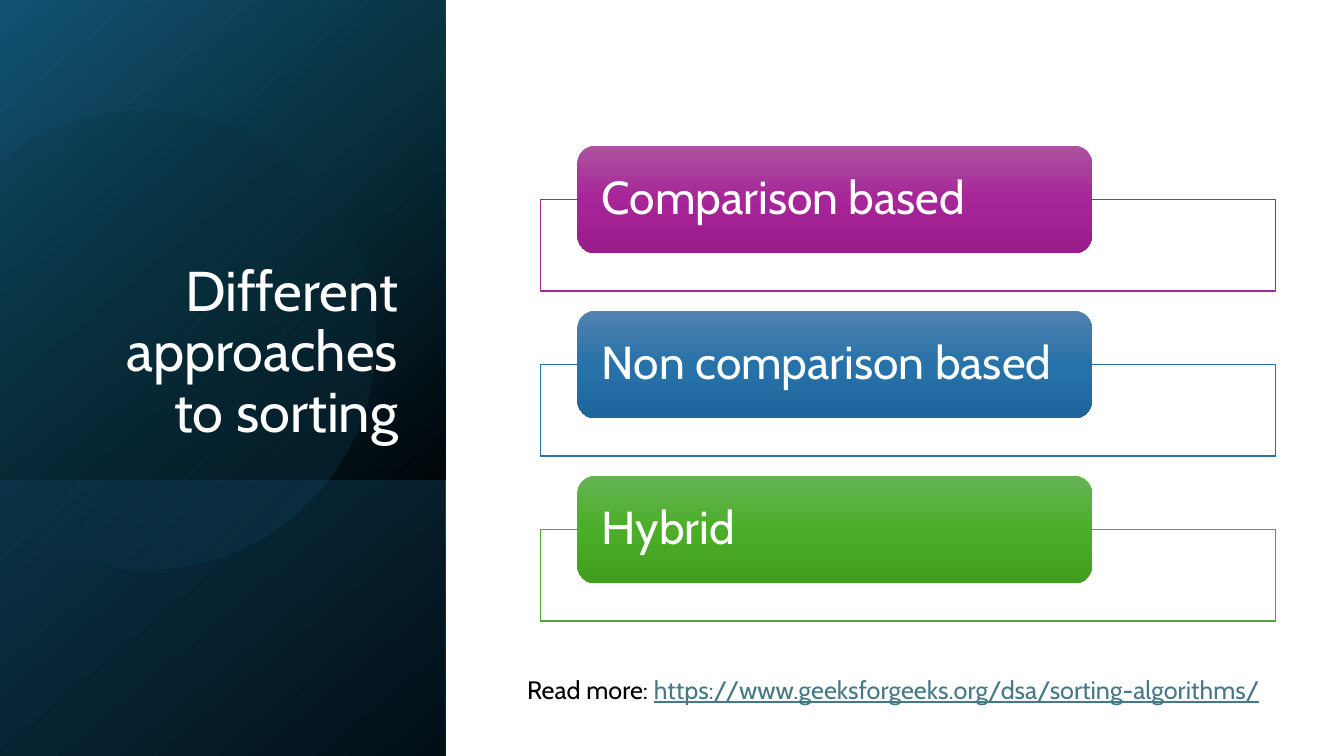
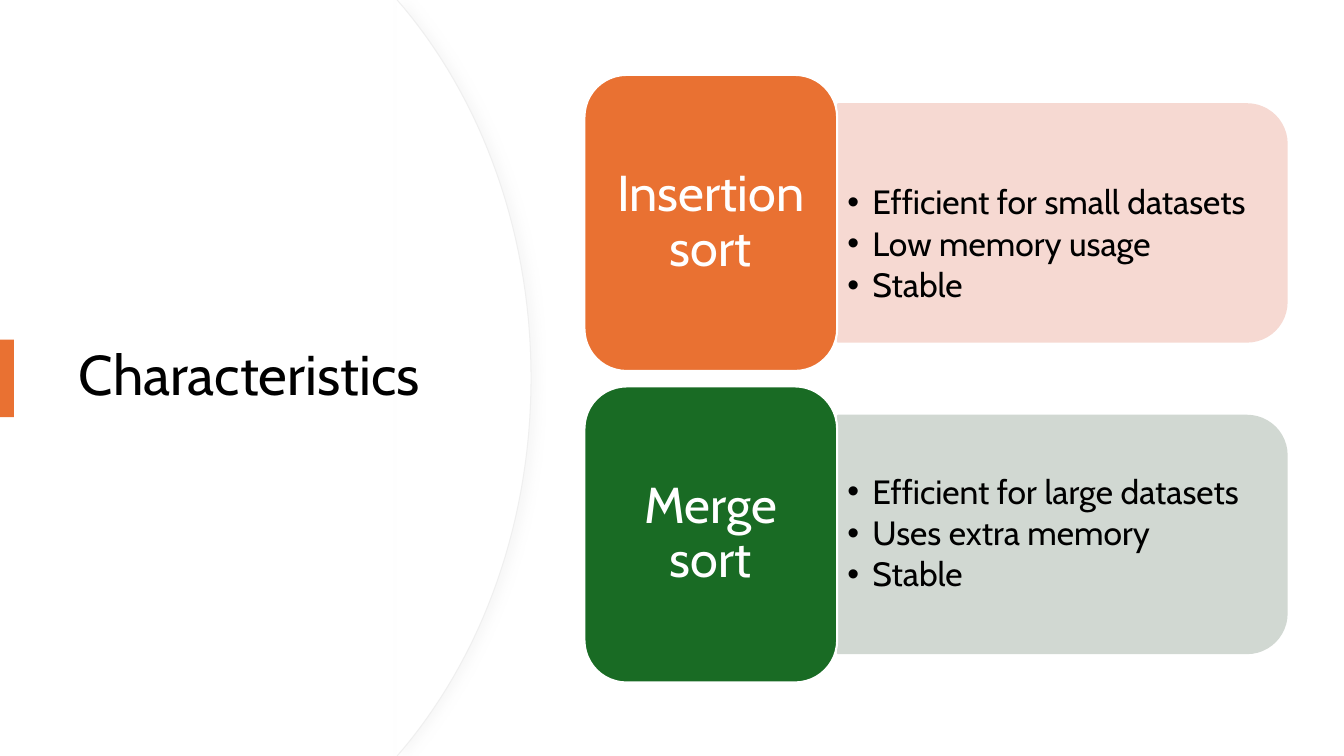
from math import acos, cos, sin

from lxml.etree import SubElement
from pptx import Presentation
from pptx.dml.color import RGBColor
from pptx.enum.shapes import MSO_SHAPE
from pptx.enum.text import MSO_ANCHOR, MSO_AUTO_SIZE, PP_ALIGN
from pptx.oxml.ns import qn
from pptx.util import Pt

FONT = "Cabin"
WHITE = "FFFFFF"
BLACK = "000000"
ORANGE = "E97132"
GREEN = "196B24"
TITLE_SIZE = 40


def paint(shape, stops, angle=90, line=None, line_width=1):
    shape.shadow.inherit = False
    if isinstance(stops, str):
        shape.fill.solid()
        shape.fill.fore_color.rgb = RGBColor.from_string(stops)
    else:
        shape.fill.gradient()
        gradient = shape.element.spPr.find(qn("a:gradFill"))
        gradient.find(qn("a:lin")).set("ang", str(angle * 60000))
        stop_list = gradient.find(qn("a:gsLst"))
        for old_stop in list(stop_list):
            stop_list.remove(old_stop)
        for position, colour, opacity in stops:
            stop = SubElement(stop_list, qn("a:gs"), pos=str(position * 1000))
            colour_element = SubElement(stop, qn("a:srgbClr"), val=colour)
            SubElement(colour_element, qn("a:alpha"), val=str(opacity * 1000))
    if line:
        shape.line.color.rgb = RGBColor.from_string(line)
        shape.line.width = Pt(line_width)
    else:
        shape.line.fill.background()


def write(shape, text, size, colour, alignment=PP_ALIGN.LEFT, anchor=MSO_ANCHOR.MIDDLE, space_after=0):
    frame = shape.text_frame
    frame.text = text
    frame.auto_size = MSO_AUTO_SIZE.NONE
    frame.vertical_anchor = anchor
    for paragraph in frame.paragraphs:
        paragraph.alignment = alignment
        paragraph.line_spacing = 0.9
        paragraph.space_before = Pt(0)
        paragraph.space_after = Pt(space_after)
        for run in paragraph.runs:
            run.font.name = FONT
            run.font.size = Pt(size)
            run.font.color.rgb = RGBColor.from_string(colour)


presentation = Presentation()
presentation.slide_width = Pt(960)
presentation.slide_height = Pt(540)

slide = presentation.slides.add_slide(presentation.slide_layouts[5])
shapes = slide.shapes

panel_bands = [
    (0, 343, 50, [(0, "125272", 100), (50, "08303E", 100), (100, "00060A", 100)]),
    (343, 197, 50, [(0, "0B3347", 100), (100, "020F17", 100)]),
]
for top, height, angle, stops in panel_bands:
    band = shapes.add_shape(MSO_SHAPE.RECTANGLE, Pt(0), Pt(top), Pt(318), Pt(height))
    paint(band, stops, angle)

center_x, center_y, radius = 104, 243, 164
limit = acos(-center_x / radius)
disc_points = []
for step in range(81):
    turn = limit * (step / 40 - 1)
    disc_points.append((Pt(center_x + radius * cos(turn)), Pt(center_y + radius * sin(turn))))
builder = shapes.build_freeform(*disc_points[0])
builder.add_line_segments(disc_points[1:])
paint(builder.convert_to_shape(), [(0, "000000", 4), (40, "06222E", 10), (100, "156082", 26)], 45)

title = shapes.title
title.left, title.top, title.width, title.height = Pt(46), Pt(132.5), Pt(245.5), Pt(188.6)
write(title, "Different approaches to sorting", TITLE_SIZE, WHITE, PP_ALIGN.RIGHT, MSO_ANCHOR.BOTTOM)
shapes.element.append(title.element)

approaches = [
    ("Comparison based", "A02B93", ["AC53A0", "A62598", "991C8B"]),
    ("Non comparison based", "2C71A4", ["5382AF", "2772A9", "1D669C"]),
    ("Hybrid", "4EA72E", ["66B354", "4BAD28", "409F1E"]),
]
for index, (name, outline, shades) in enumerate(approaches):
    top = 104 + index * 117.9
    frame_box = shapes.add_shape(MSO_SHAPE.RECTANGLE, Pt(386), Pt(top + 38.3), Pt(525), Pt(65.5))
    paint(frame_box, WHITE, line=outline)
    button = shapes.add_shape(MSO_SHAPE.ROUNDED_RECTANGLE, Pt(412.5), Pt(top), Pt(367.5), Pt(77))
    paint(button, [(position, shade, 100) for position, shade in zip((0, 50, 100), shades)])
    button.text_frame.margin_left = button.text_frame.margin_right = Pt(13.7)
    write(button, name, 33, WHITE)

read_more = shapes.add_textbox(Pt(369.4), Pt(478), Pt(540), Pt(51))
write(read_more, "Read more: ", 18, BLACK, anchor=MSO_ANCHOR.TOP)
read_more.text_frame.word_wrap = False
read_more.text_frame.paragraphs[0].line_spacing = 1
address = read_more.text_frame.paragraphs[0].add_run()
address.text = "https://www.geeksforgeeks.org/dsa/sorting-algorithms/"
address.font.name = FONT
address.font.size = Pt(18)
address.font.underline = True
address.font.color.rgb = RGBColor.from_string("467886")

slide = presentation.slides.add_slide(presentation.slide_layouts[3])
shapes = slide.shapes

upper_arc = []
for step in range(31):
    t = step / 30
    weights = ((1 - t) ** 3, 3 * t * (1 - t) ** 2, 3 * t * t * (1 - t), t ** 3)
    x = sum(weight * value for weight, value in zip(weights, (288.7, 344.9, 379.4, 379.4)))
    y = sum(weight * value for weight, value in zip(weights, (5.8, 73.4, 167, 270)))
    upper_arc.append((x, y))
upper_edge = [(283.7, 0)] + upper_arc
lower_edge = [(x, 540 - y) for x, y in reversed(upper_edge[:-1])]
curve_points = [(Pt(x), Pt(y)) for x, y in upper_edge + lower_edge]
builder = shapes.build_freeform(*curve_points[0])
builder.add_line_segments(curve_points[1:], close=False)
curved_panel = builder.convert_to_shape()
paint(curved_panel, WHITE, line="EFEFEF", line_width=0.75)
effects = curved_panel.element.spPr.find(qn("a:effectLst"))
shadow = SubElement(effects, qn("a:outerShdw"), blurRad=str(Pt(7)), dist=str(Pt(3)), dir="0")
shadow_colour = SubElement(shadow, qn("a:srgbClr"), val="D9D9D9")
SubElement(shadow_colour, qn("a:alpha"), val="20000")

accent = shapes.add_shape(MSO_SHAPE.RECTANGLE, Pt(0), Pt(242.6), Pt(10), Pt(55.4))
paint(accent, ORANGE)

title = shapes.title
title.left, title.top, title.width, title.height = Pt(49), Pt(91.5), Pt(283.5), Pt(356.5)
write(title, "Characteristics", TITLE_SIZE, BLACK)
shapes.element.append(title.element)

algorithms = [
    ("Insertion sort", ORANGE, "F6D9D2", 16, ["Efficient for small datasets", "Low memory usage", "Stable"]),
    ("Merge sort", GREEN, "D1D8D2", 0, ["Efficient for large datasets", "Uses extra memory", "Stable"]),
]
for index, (name, colour, tint, text_shift, features) in enumerate(algorithms):
    top = 53.5 + index * 222.5
    backdrop = shapes.add_shape(MSO_SHAPE.ROUND_2_SAME_RECTANGLE, Pt(674), Pt(top - 54.5), Pt(169.5), Pt(320.5))
    backdrop.rotation = 90
    paint(backdrop, tint, line=tint, line_width=1.5)

    feature_list = slide.placeholders[index + 1]
    feature_list.left, feature_list.top = Pt(598), Pt(top + 29.5 + text_shift)
    feature_list.width, feature_list.height = Pt(312.5), Pt(152.5)
    write(feature_list, "\n".join(features), 24, BLACK, space_after=3.6)
    for paragraph in feature_list.text_frame.paragraphs:
        properties = paragraph._p.get_or_add_pPr()
        properties.set("marL", str(Pt(18)))
        properties.set("indent", str(Pt(-18)))
    shapes.element.append(feature_list.element)

    card = shapes.add_shape(MSO_SHAPE.ROUNDED_RECTANGLE, Pt(417.5), Pt(top), Pt(180.5), Pt(211.5))
    paint(card, colour, line=WHITE, line_width=1.5)
    card.text_frame.margin_left = card.text_frame.margin_right = Pt(10)
    write(card, name, 36, WHITE, PP_ALIGN.CENTER)

presentation.save("out.pptx")
